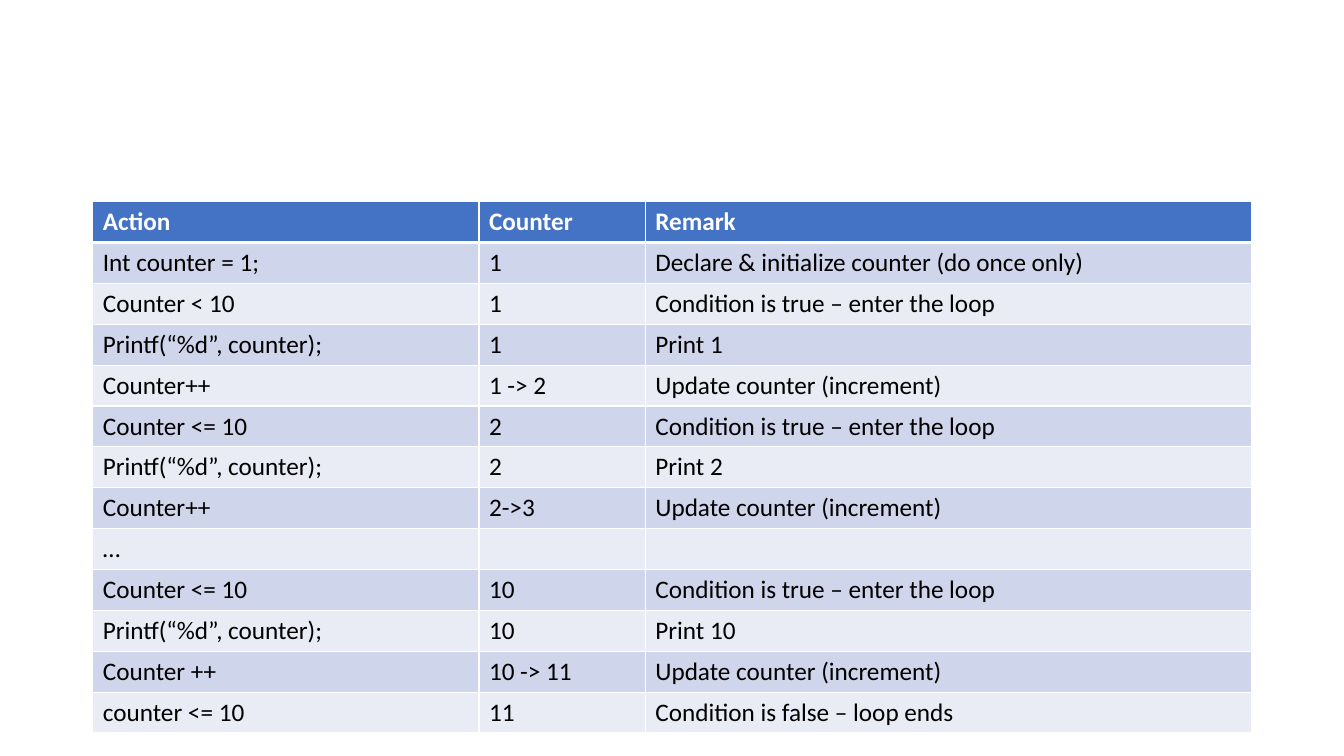
from dataclasses import dataclass

from lxml.etree import SubElement
from pptx import Presentation
from pptx.dml.color import RGBColor
from pptx.enum.text import MSO_ANCHOR
from pptx.oxml.ns import qn
from pptx.util import Inches, Pt


@dataclass(frozen=True)
class Theme:
    font: str = "Calibri"
    text_size: int = 18
    header_fill: str = "4472C4"
    band_fills: tuple = ("E9EBF5", "CFD5EA")
    header_text: str = "FFFFFF"
    body_text: str = "000000"
    border: str = "FFFFFF"
    thin_border: int = 1
    thick_border: int = 3


THEME = Theme()
SLIDE_WIDTH, SLIDE_HEIGHT = Inches(13.33), Inches(7.5)
TABLE_LEFT, TABLE_TOP = Inches(0.92), Inches(2)
COLUMN_WIDTHS = [Inches(width) for width in (3.83, 1.65, 6.01)]
TABLE_HEIGHT = Inches(5.27)

LOOP_TRACE = [
    ("Action", "Counter", "Remark"),
    ("Int counter = 1;", "1", "Declare & initialize counter (do once only)"),
    ("Counter < 10", "1", "Condition is true – enter the loop"),
    ("Printf(“%d”, counter);", "1", "Print 1"),
    ("Counter++", "1 -> 2", "Update counter (increment)"),
    ("Counter <= 10", "2", "Condition is true – enter the loop"),
    ("Printf(“%d”, counter);", "2", "Print 2"),
    ("Counter++", "2->3", "Update counter (increment)"),
    ("…", "", ""),
    ("Counter <= 10", "10", "Condition is true – enter the loop"),
    ("Printf(“%d”, counter);", "10", "Print 10"),
    ("Counter ++", "10 -> 11", "Update counter (increment)"),
    ("counter <= 10", "11", "Condition is false – loop ends"),
]


def set_borders(cell, row_index):
    """Draw thin borders, with a thick rule between header and body."""
    thick_side = {0: "lnB", 1: "lnT"}.get(row_index)
    properties = cell._tc.get_or_add_tcPr()
    for side in ("lnL", "lnR", "lnT", "lnB"):
        width = THEME.thick_border if side == thick_side else THEME.thin_border
        line = SubElement(properties, qn(f"a:{side}"), w=str(Pt(width)))
        fill = SubElement(line, qn("a:solidFill"))
        SubElement(fill, qn("a:srgbClr"), val=THEME.border)


def fill_cell(cell, text, row_index):
    is_header = row_index == 0
    set_borders(cell, row_index)
    cell.fill.solid()
    cell.fill.fore_color.rgb = RGBColor.from_string(
        THEME.header_fill if is_header else THEME.band_fills[row_index % 2])
    cell.vertical_anchor = MSO_ANCHOR.TOP
    cell.text_frame.text = text
    paragraph = cell.text_frame.paragraphs[0]
    for run in paragraph.runs:
        run.font.name = THEME.font
        run.font.size = Pt(THEME.text_size)
        run.font.bold = is_header
        run.font.color.rgb = RGBColor.from_string(
            THEME.header_text if is_header else THEME.body_text)


def add_trace_table(slide, rows):
    table = slide.shapes.add_table(
        len(rows), len(COLUMN_WIDTHS), TABLE_LEFT, TABLE_TOP,
        sum(COLUMN_WIDTHS), TABLE_HEIGHT).table
    for column, width in zip(table.columns, COLUMN_WIDTHS):
        column.width = width
    for row_index, (row, texts) in enumerate(zip(table.rows, rows)):
        for cell, text in zip(row.cells, texts):
            fill_cell(cell, text, row_index)


def main():
    presentation = Presentation()
    presentation.slide_width = SLIDE_WIDTH
    presentation.slide_height = SLIDE_HEIGHT
    blank_layout = presentation.slide_layouts.get_by_name("Blank")
    slide = presentation.slides.add_slide(blank_layout)
    add_trace_table(slide, LOOP_TRACE)
    presentation.save("out.pptx")


if __name__ == "__main__":
    main()
